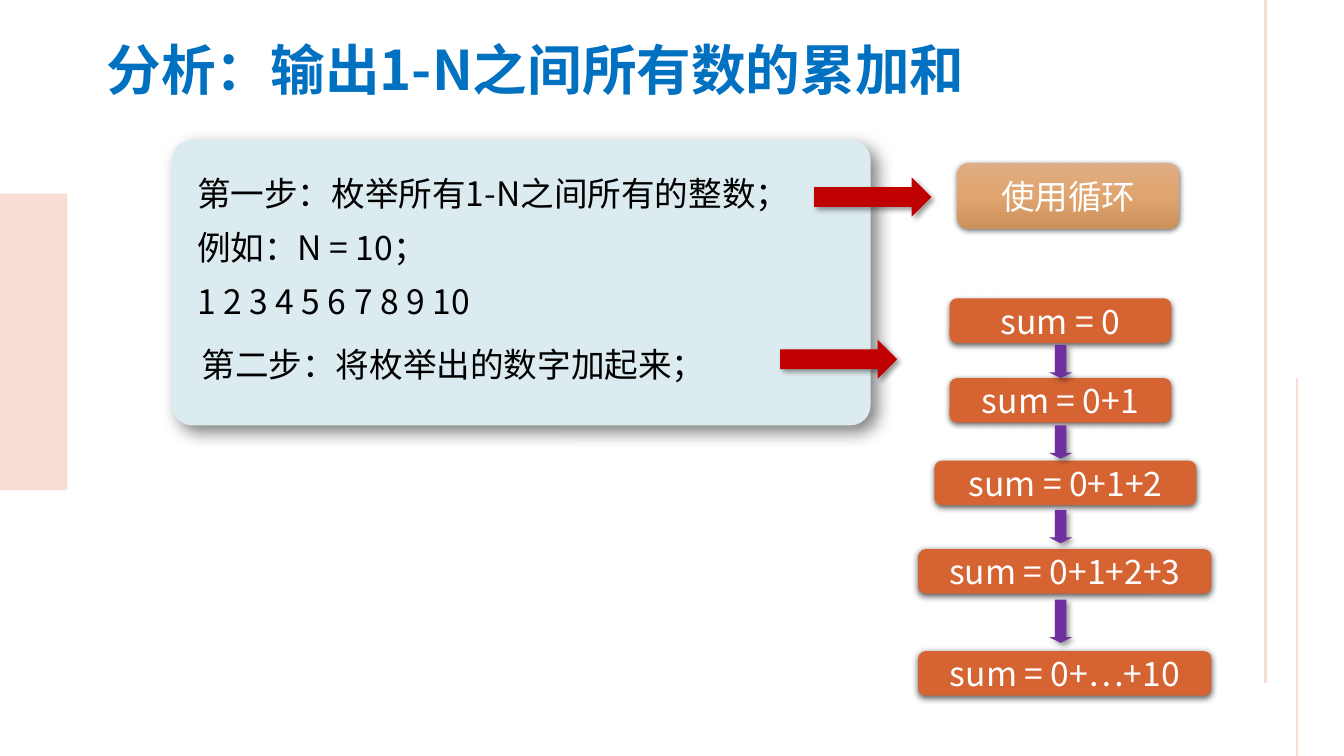
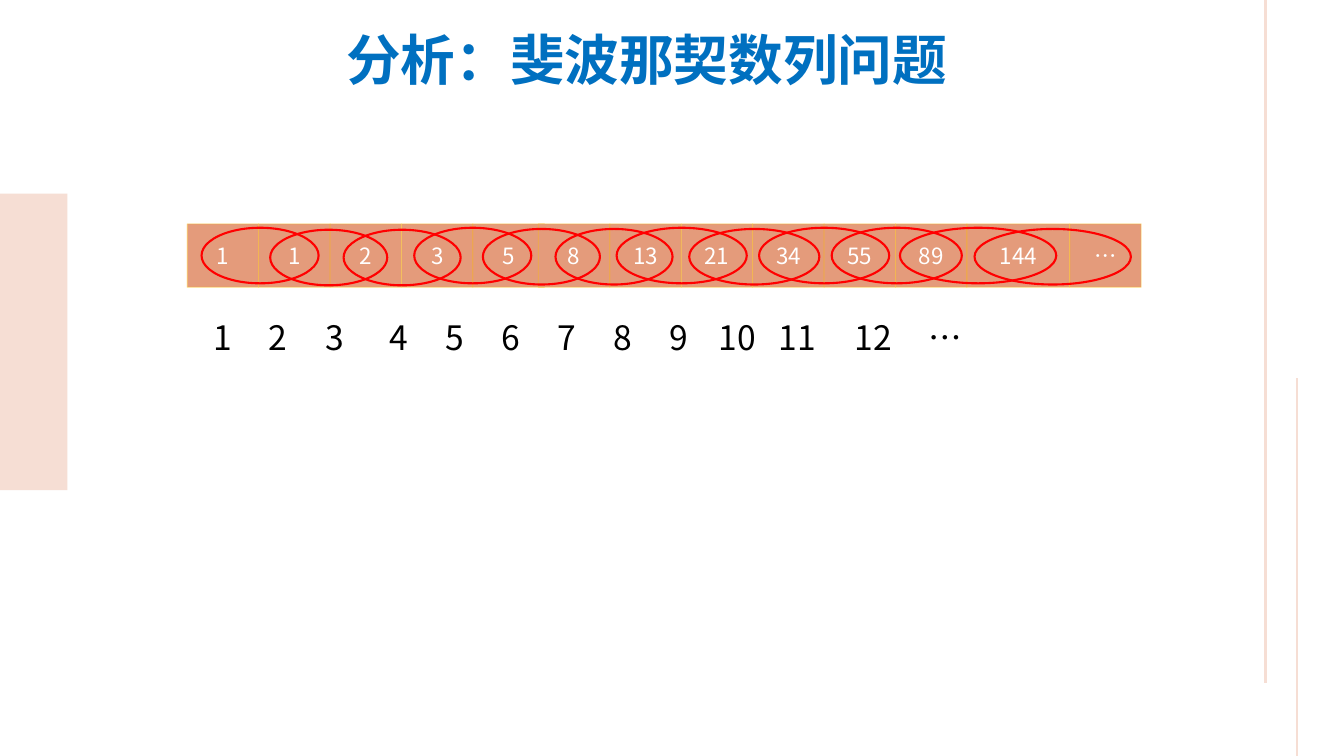
import copy

import lxml.etree
import pptx
import pptx.dml.color
import pptx.enum.shapes
import pptx.enum.text
import pptx.oxml.ns
import pptx.util

Cm, Pt = pptx.util.Cm, pptx.util.Pt
rgb = pptx.dml.color.RGBColor.from_string
qn = pptx.oxml.ns.qn
SHAPE = pptx.enum.shapes.MSO_SHAPE
STRAIGHT = pptx.enum.shapes.MSO_CONNECTOR.STRAIGHT
ALIGN = pptx.enum.text.PP_ALIGN
MIDDLE = pptx.enum.text.MSO_ANCHOR.MIDDLE

FONT = "Noto Sans CJK SC"
COLORS = {
    "title": "0070C0", "text": "000000", "white": "FFFFFF", "trim": "F6DED4",
    "panel": "DCEBEF", "step": "D56432", "pointer": "C00000", "flow": "7030A0",
    "cell": "E49B7B", "cell_line": "FFC000", "ring": "FF0000",
}
LOOP_GRADIENT = [(0, "E0AE85"), (0.5, "E0A46E"), (1, "CD915B")]
# Shadows: opacity in %, blur and distance in points, direction in degrees
PANEL_SHADOW = (50, 12, 6, 45)
BUTTON_SHADOW = (63, 4.5, 1.5, 90)
ARROW_SHADOW = (40, 4, 3, 45)


def add_block(slide, kind, box, fill=None, shadow=None):
    """Add a preset shape without outline; box is left, top, width, height in cm."""
    block = slide.shapes.add_shape(kind, *map(Cm, box))
    block.shadow.inherit = False
    block.line.fill.background()
    if fill:
        block.fill.solid()
        block.fill.fore_color.rgb = rgb(COLORS[fill])
    else:
        block.fill.background()
    if shadow:
        opacity, blur, distance, direction = shadow
        effects = block._element.spPr.find(qn("a:effectLst"))
        outer = lxml.etree.SubElement(
            effects, qn("a:outerShdw"), blurRad=str(Pt(blur)), dist=str(Pt(distance)),
            dir=str(direction * 60000), algn="ctr", rotWithShape="0")
        shade = lxml.etree.SubElement(outer, qn("a:srgbClr"), val=COLORS["text"])
        lxml.etree.SubElement(shade, qn("a:alpha"), val=str(opacity * 1000))
    return block


def write(shape, lines, size, color, bold=False, centred=False):
    """Fill a shape with one paragraph per line."""
    frame = shape.text_frame
    frame.word_wrap = True
    if centred:
        frame.vertical_anchor = MIDDLE
    for number, line in enumerate(lines):
        paragraph = frame.add_paragraph() if number else frame.paragraphs[0]
        paragraph.alignment = ALIGN.CENTER if centred else ALIGN.LEFT
        if number:
            paragraph.space_before = Pt(5)
        if len(lines) > 1:
            paragraph.space_after = Pt(5)
        run = paragraph.add_run()
        run.text = line
        run.font.size = Pt(size)
        run.font.bold = bold
        run.font.color.rgb = rgb(COLORS[color])
        run.font.name = FONT
        lxml.etree.SubElement(run.font._element, qn("a:ea"), typeface=FONT)


deck = pptx.Presentation()
deck.slide_width, deck.slide_height = Cm(33.87), Cm(19.05)

# Shared trim and titles
titles = [
    ("分析：输出1-N之间所有数的累加和", (2.44, 0.79, 23.19, 1.93)),
    ("分析：斐波那契数列问题", (8.48, 0.53, 16.05, 1.93)),
]
for title, box in titles:
    slide = deck.slides.add_slide(deck.slide_layouts[6])
    add_block(slide, SHAPE.RECTANGLE, (0, 4.88, 1.7, 7.47), "trim")
    for x, top, bottom, width in [(31.9, 0, 17.2, 2.25), (32.69, 9.53, 19.05, 1.5)]:
        rule = slide.shapes.add_connector(STRAIGHT, Cm(x), Cm(top), Cm(x), Cm(bottom))
        rule.line.color.rgb = rgb(COLORS["trim"])
        rule.line.width = Pt(width)
        lxml.etree.SubElement(rule._element.spPr, qn("a:effectLst"))
    write(slide.shapes.add_textbox(*map(Cm, box)), [title], 39, "title", bold=True)
sum_slide, fibonacci_slide = deck.slides

# Slide 1: the two steps
panel = add_block(sum_slide, SHAPE.ROUNDED_RECTANGLE, (4.34, 3.53, 17.6, 7.19),
                  "panel", PANEL_SHADOW)
panel.adjustments[0] = 0.07
steps = [
    ((4.72, 4.22, 16.41, 4.04),
     ["第一步：枚举所有1-N之间所有的整数；", "例如：N = 10；", "1 2 3 4 5 6 7 8 9 10"]),
    ((4.83, 8.53, 16.41, 1.27), ["第二步：将枚举出的数字加起来；"]),
]
for box, lines in steps:
    write(sum_slide.shapes.add_textbox(*map(Cm, box)), lines, 24, "text")

loop_button = add_block(sum_slide, SHAPE.ROUNDED_RECTANGLE, (24.13, 4.11, 5.59, 1.65),
                        shadow=BUTTON_SHADOW)
loop_button.fill.gradient()
loop_button.fill.gradient_angle = 270
stop_list = loop_button._element.spPr.find(".//" + qn("a:gsLst"))
stop_list.insert(1, copy.deepcopy(stop_list[0]))
for stop, (position, color) in zip(loop_button.fill.gradient_stops, LOOP_GRADIENT):
    stop.position = position
    stop.color.rgb = rgb(color)
write(loop_button, ["使用循环"], 24, "white", centred=True)

for left, top in [(20.52, 4.47), (19.66, 8.56)]:
    add_block(sum_slide, SHAPE.RIGHT_ARROW, (left, top, 2.95, 0.99), "pointer", ARROW_SHADOW)

# Slide 1: the running sum
sums = [
    ("sum = 0", 23.93, 7.52, 5.59),
    ("sum = 0+1", 23.93, 9.53, 5.59),
    ("sum = 0+1+2", 23.55, 11.61, 6.6),
    ("sum = 0+1+2+3", 23.14, 13.84, 7.39),
    ("sum = 0+…+10", 23.14, 16.41, 7.39),
]
for text, left, top, width in sums:
    button = add_block(sum_slide, SHAPE.ROUNDED_RECTANGLE, (left, top, width, 1.12),
                       "step", BUTTON_SHADOW)
    write(button, [text], 24, "white", centred=True)
for top, height in [(8.69, 0.84), (10.72, 0.84), (12.85, 0.84), (15.11, 1.09)]:
    flow = add_block(sum_slide, SHAPE.DOWN_ARROW, (26.44, top, 0.58, height),
                     "flow", ARROW_SHADOW)
    flow.adjustments[1] = 0.25

# Slide 2: the sequence
numbers = ["1", "1", "2", "3", "5", "8", "13", "21", "34", "55", "89", "144", "…"]
left = 4.72
for number in numbers:
    if number == "8":
        left -= 0.15
    width = 2.59 if number == "144" else 1.8
    cell = add_block(fibonacci_slide, SHAPE.RECTANGLE, (left, 5.64, width, 1.6), "cell")
    cell.line.color.rgb = rgb(COLORS["cell_line"])
    cell.line.width = Pt(0.75)
    line_color = cell._element.spPr.find(qn("a:ln")).find(".//" + qn("a:srgbClr"))
    lxml.etree.SubElement(line_color, qn("a:alpha"), val="30000")
    write(cell, [number], 16, "white", centred=True)
    left += width

# Slide 2: positions under the sequence, centred on tab stops
positions = fibonacci_slide.shapes.add_textbox(Cm(5.13), Cm(7.85), Cm(23.65), Cm(1.27))
tab_list = lxml.etree.SubElement(
    positions.text_frame.paragraphs[0]._p.get_or_add_pPr(), qn("a:tabLst"))
for stop in [1.62, 3.07, 4.66, 6.08, 7.49, 8.9, 10.31, 11.73, 13.21, 14.72, 16.63, 18.45]:
    lxml.etree.SubElement(tab_list, qn("a:tab"), pos=str(Cm(stop)), algn="ctr")
write(positions, ["\t".join([*map(str, range(1, 13)), "…"])], 24, "text")

# Slide 2: a ring around each neighbouring pair
rings = [
    (5.08, 5.74, 2.95), (6.81, 5.79, 2.95), (8.66, 5.79, 2.95), (10.44, 5.74, 2.95),
    (12.17, 5.77, 2.95), (14, 5.77, 2.95), (15.54, 5.74, 3.28), (17.37, 5.77, 3.28),
    (19.13, 5.74, 3.28), (20.96, 5.74, 3.28), (22.68, 5.74, 3.94), (24.56, 5.77, 3.94),
]
for left, top, width in rings:
    ring = add_block(fibonacci_slide, SHAPE.OVAL, (left, top, width, 1.4))
    ring.line.color.rgb = rgb(COLORS["ring"])
    ring.line.width = Pt(1.5)

deck.save("out.pptx")
